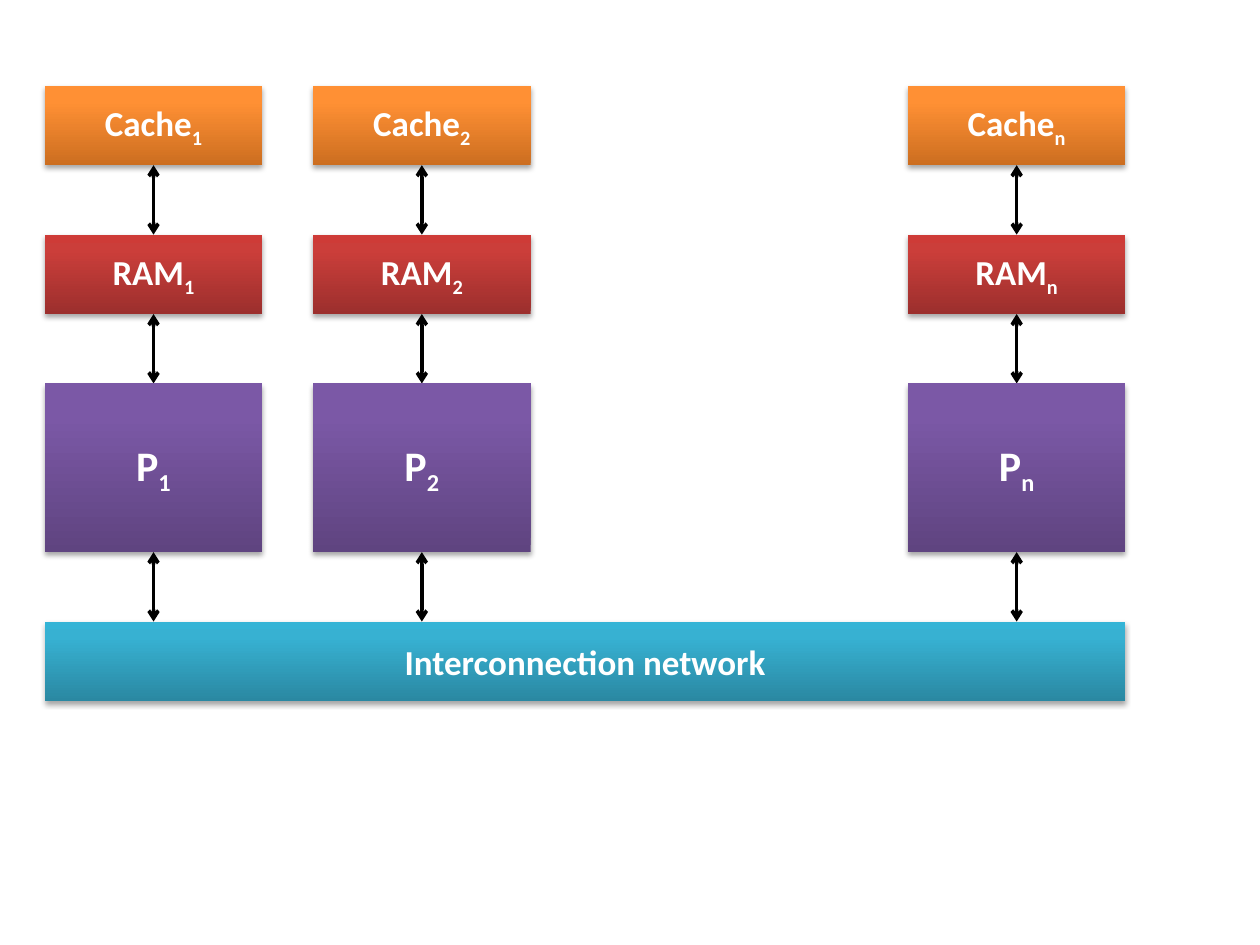
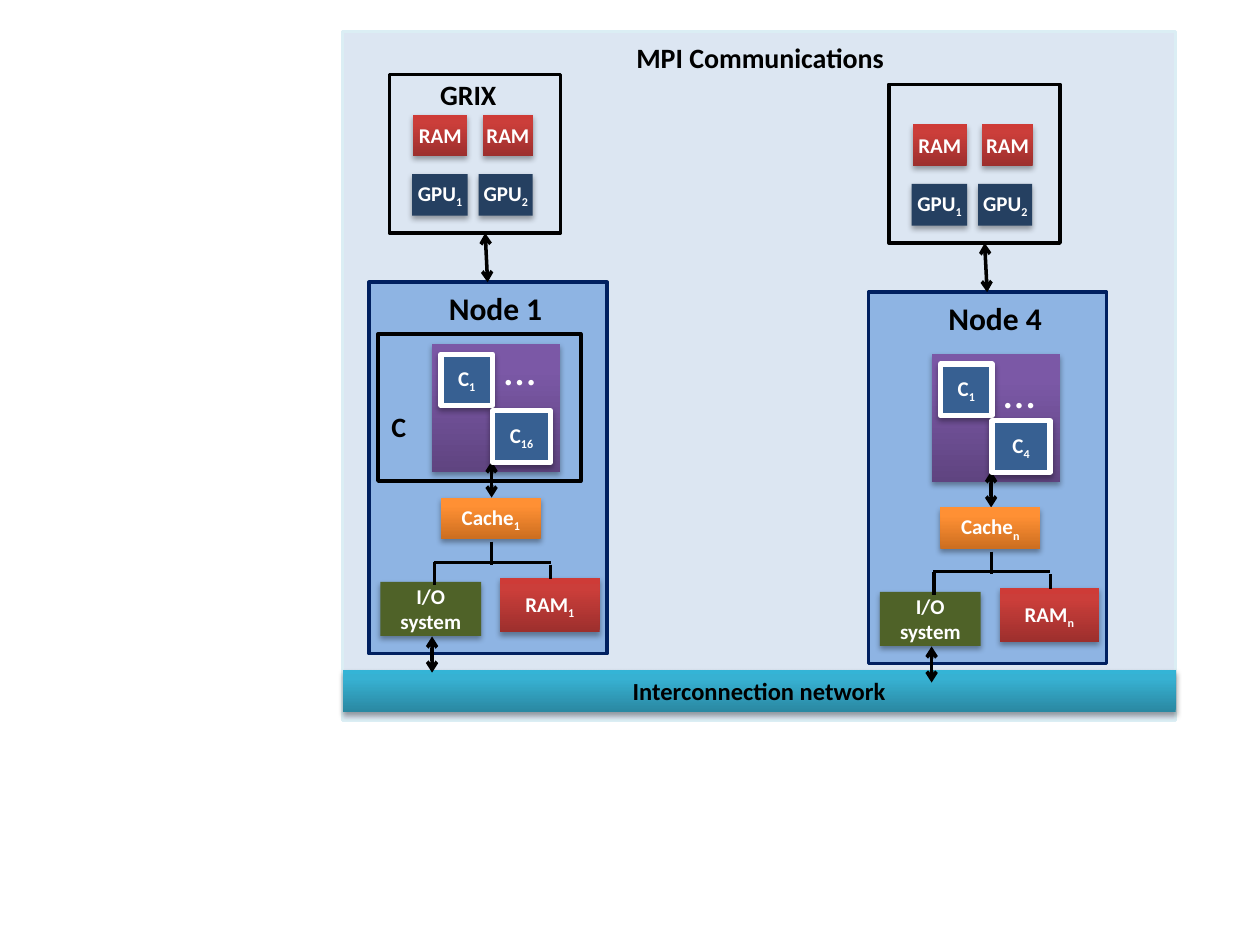
"""Draw a distributed-memory machine and a hybrid GPU cluster, one slide each."""
from lxml.etree import SubElement
from pptx import Presentation
from pptx.dml.color import RGBColor
from pptx.enum.shapes import MSO_CONNECTOR as Connector, MSO_SHAPE as Shape
from pptx.enum.text import MSO_ANCHOR as Anchor, PP_ALIGN as Align
from pptx.oxml.ns import qn
from pptx.util import Cm, Pt

FONT = "Calibri"
COLOURS = {
    "white": "FFFFFF", "black": "000000", "panel": "DCE6F2",
    "panel_edge": "DBEEF4", "node": "8EB4E3", "node_edge": "002060",
    "core": "376092", "gpu": "254061", "io": "4F6228",
}
GRADIENTS = {
    "cache": ("CC6E20", "FF9034", "FF9136"),
    "ram": ("9C2F2D", "CB3E3A", "CE3B37"),
    "processor": ("5F4480", "7B58A6", "7C57A8"),
    "network": ("2A88A2", "37B1D2", "34B4D6"),
}


def rgb(name):
    return RGBColor.from_string(COLOURS[name])


def write(shape, label, size, colour="white", bold=True):
    frame = shape.text_frame
    frame.word_wrap = True
    frame.vertical_anchor = Anchor.MIDDLE
    frame.margin_left = frame.margin_right = frame.margin_top = frame.margin_bottom = 0
    main_text, _, index = label.partition("_")
    frame.text = main_text
    if index:
        span = frame.paragraphs[0].add_run()
        span.text = index
        span.font._element.set("baseline", "-25000")
    for para in frame.paragraphs:
        para.alignment = Align.CENTER
        for span in para.runs:
            span.font.name, span.font.size, span.font.bold = FONT, Pt(size), bold
            span.font.color.rgb = rgb(colour)


def paint(shape, fill):
    if fill is None:
        shape.fill.background()
    elif fill in GRADIENTS:
        shape.fill.gradient()
        shape.fill.gradient_angle = 90
        stops = shape._element.spPr.find(".//" + qn("a:gsLst"))
        stops.clear()
        for position, value in zip((0, 80000, 100000), GRADIENTS[fill]):
            stop = SubElement(stops, qn("a:gs"), pos=str(position))
            SubElement(stop, qn("a:srgbClr"), val=value)
    else:
        shape.fill.solid()
        shape.fill.fore_color.rgb = rgb(fill)


def cast_shadow(shape):
    effects = shape._element.spPr.find(qn("a:effectLst"))
    shadow = SubElement(effects, qn("a:outerShdw"), blurRad="40000", dist="23000",
                        dir="5400000", rotWithShape="0")
    colour = SubElement(shadow, qn("a:srgbClr"), val=COLOURS["black"])
    SubElement(colour, qn("a:alpha"), val="35000")


def add_rect(page, area, fill=None, edge=None, edge_width=2, shadow=False):
    box = page.shapes.add_shape(Shape.RECTANGLE, *map(Cm, area))
    box.shadow.inherit = False
    paint(box, fill)
    if edge:
        box.line.color.rgb = rgb(edge)
        box.line.width = Pt(edge_width)
    else:
        box.line.fill.background()
    if shadow:
        cast_shadow(box)
    return box


def add_block(page, area, fill, label="", size=12, colour="white", edge=None):
    box = add_rect(page, area, fill, edge, 3, shadow=True)
    if label:
        write(box, label, size, colour)


def add_label(page, area, label, size, colour="black", bold=True):
    write(page.shapes.add_textbox(*map(Cm, area)), label, size, colour, bold)


def add_line(page, start, end, width=1.75, arrows=False):
    line = page.shapes.add_connector(Connector.STRAIGHT, *map(Cm, start + end))
    line.line.color.rgb = rgb("black")
    line.line.width = Pt(width)
    if arrows:
        for tag in ("a:headEnd", "a:tailEnd"):
            SubElement(line.line._ln, qn(tag), type="arrow")
    SubElement(line._element.spPr, qn("a:effectLst"))


def add_arrow(page, start, end):
    add_line(page, start, end, 2, arrows=True)


def draw_machine(page):
    width, gap, top_edge = 4.39, 1.4, 1.73
    lefts = {"1": 0.9, "2": 6.31, "n": 18.3}
    layers = (("Cache", "cache", 1.6, 20), ("RAM", "ram", 1.6, 20),
              ("P", "processor", 3.4, 24))
    network_top = top_edge + sum(layer[2] + gap for layer in layers)
    network_width = lefts["n"] + width - lefts["1"]
    add_block(page, (lefts["1"], network_top, network_width, 1.6), "network",
              "Interconnection network", 20)
    for index, left in lefts.items():
        top, centre = top_edge, left + width / 2
        for name, fill, height, size in layers:
            add_block(page, (left, top, width, height), fill, f"{name}_{index}", size)
            add_arrow(page, (centre, top + height), (centre, top + height + gap))
            top += height + gap


def draw_node(page, number, index, cores, dx=0, dy=0, dots_drop=0, models=False):
    def at(left, top, *extent):
        return (left + dx, top + dy) + extent

    add_rect(page, at(7.44, 5.69, 4.8, 7.49), "node", "node_edge")
    add_label(page, at(8.79, 5.69, 2.4, 1.02), f"Node {number}", 18)
    add_block(page, at(8.71, 6.93, 2.59, 2.59), "processor")
    add_arrow(page, at(9.91, 9.3), at(9.91, 10.03))
    add_block(page, at(8.89, 7.14, 1.04, 1.04), "core", "C_1", edge="white")
    add_block(page, at(9.93, 8.28, 1.17, 1.04), "core", f"C_{cores}", edge="white")
    add_label(page, at(9.91, 6.73 + dots_drop, 1.14, 1.37), "…", 26, "white", False)
    add_block(page, at(8.89, 10.03, 2.01, 0.84), "cache", f"Cache_{index}")
    add_block(page, at(10.08, 11.66, 2.01, 1.09), "ram", f"RAM_{index}")
    add_block(page, at(7.67, 11.73, 2.03, 1.09), "io", "I/O\nsystem")
    for start, end in (((9.91, 10.92), (9.91, 11.38)), ((8.74, 11.33), (11.1, 11.33)),
                       ((8.76, 11.33), (8.76, 11.79)), ((11.1, 11.38), (11.1, 11.68))):
        add_line(page, at(*start), at(*end))
    add_arrow(page, at(8.71, 12.83), at(8.71, 13.56))

    add_rect(page, at(7.85, 1.5, 3.45, 3.2), edge="black")
    for left, width in ((8.33, 1.09), (9.73, 1.02)):
        add_block(page, at(left, 2.31, width, 0.84), "ram", "RAM")
    for gpu, left, width in ((1, 8.31, 1.12), (2, 9.65, 1.09)):
        add_block(page, at(left, 3.51, width, 0.84), "gpu", f"GPU_{gpu}")
    add_arrow(page, at(9.78, 4.7), at(9.83, 5.69))
    if models:
        add_rect(page, at(7.62, 6.73, 4.09, 2.97), edge="black")
        add_label(page, at(6.91, 7.85, 2.26, 1.5), "C", 16)
        add_label(page, at(8.31, 1.12, 2.26, 1.57), "GRIX", 16)


def draw_cluster(page):
    left, width = 6.91, 16.79
    add_rect(page, (left, 0.64, width, 13.89), "panel", "panel_edge")
    add_label(page, (11.63, 0.81, 7.39, 0.69), "MPI Communications", 16)
    add_block(page, (left, 13.51, width, 0.84), "network",
              "Interconnection network", 14, "black")
    draw_node(page, 1, "1", 16, models=True)
    draw_node(page, 4, "n", 4, dx=10.07, dy=0.2, dots_drop=0.25)


def main():
    deck = Presentation()
    deck.slide_width, deck.slide_height = Cm(25.4), Cm(19.05)
    for draw in (draw_machine, draw_cluster):
        draw(deck.slides.add_slide(deck.slide_layouts[6]))
    deck.save("out.pptx")


main()
